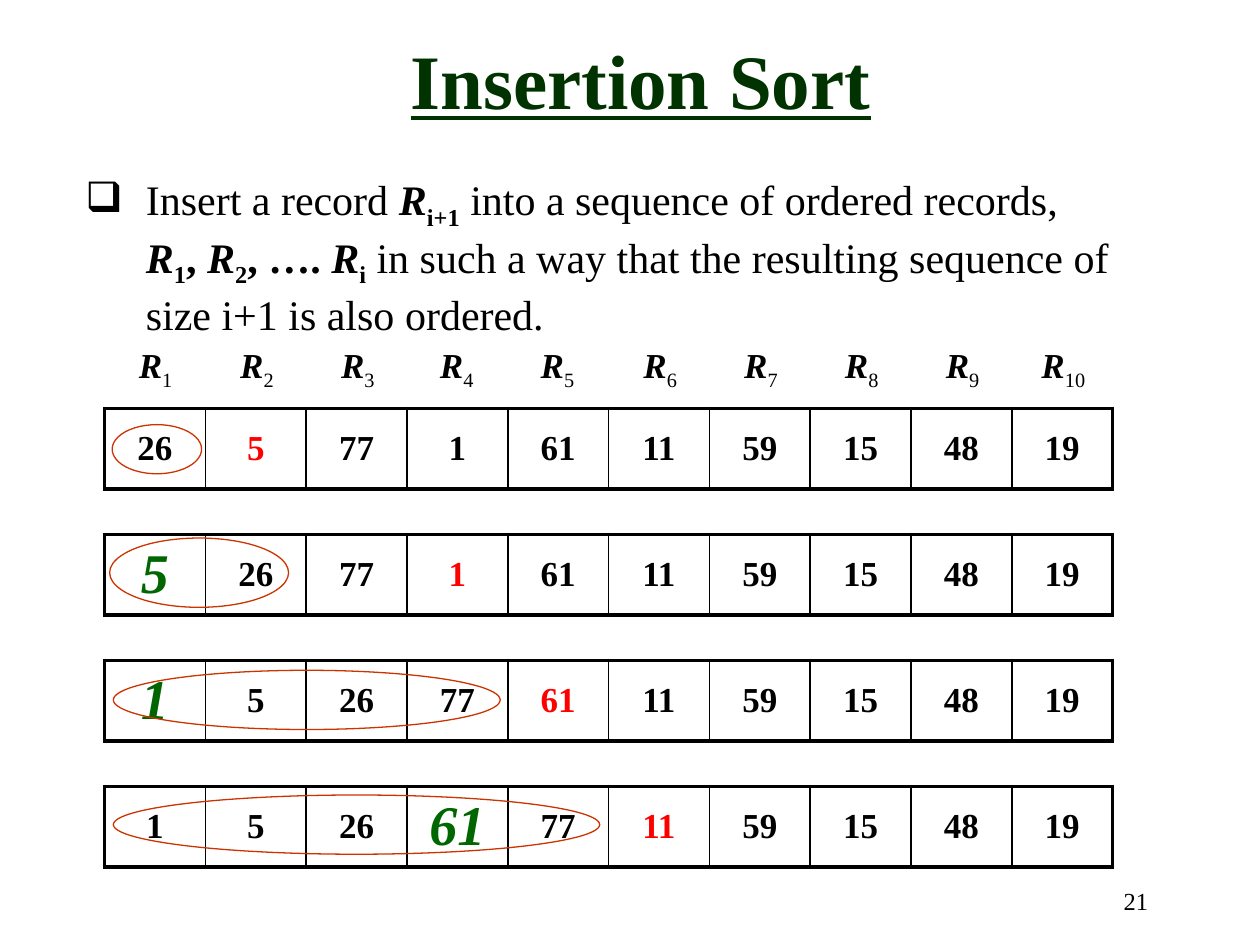
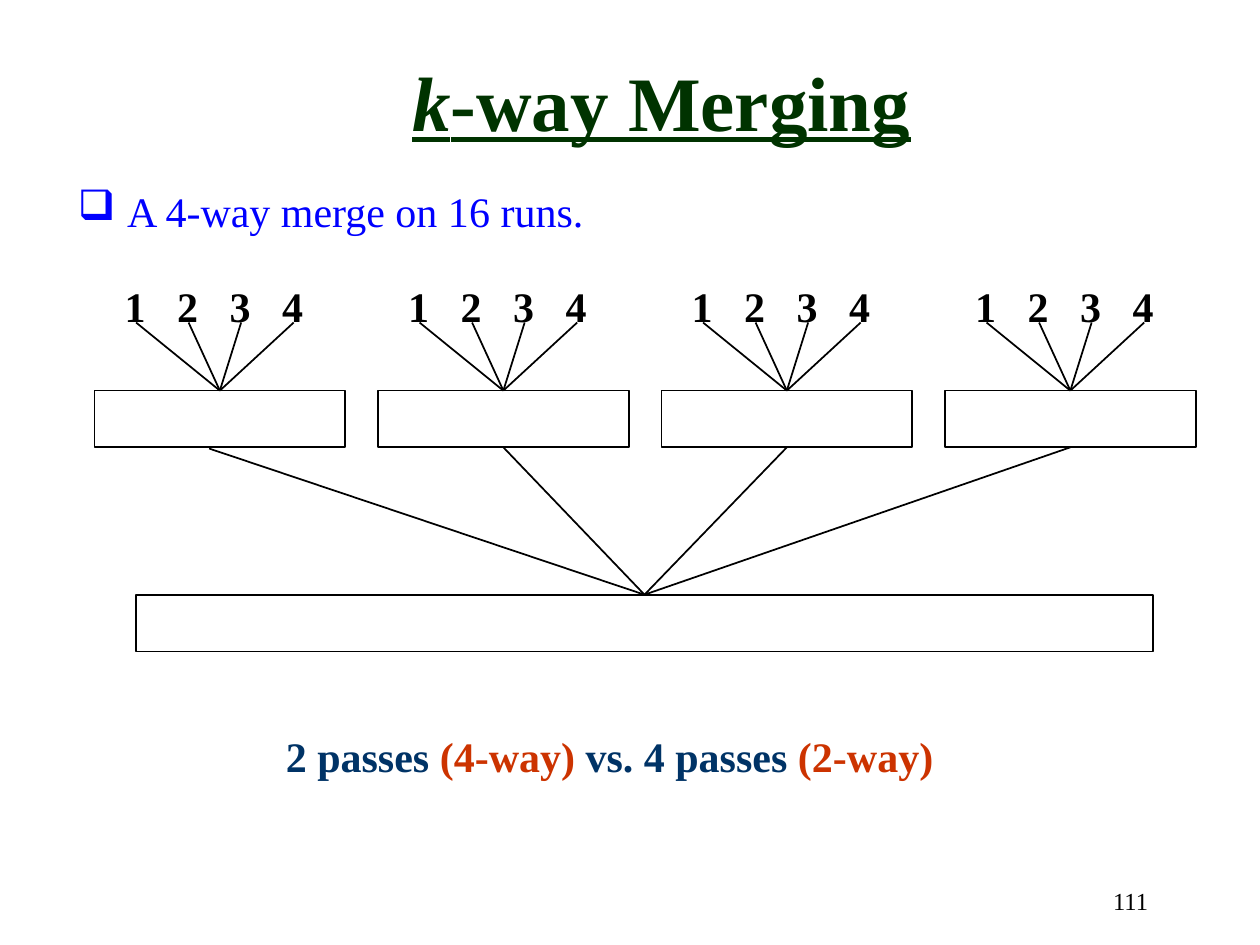
from lxml.etree import SubElement
from pptx import Presentation
from pptx.dml.color import RGBColor
from pptx.enum.shapes import MSO_CONNECTOR, MSO_SHAPE
from pptx.enum.text import MSO_ANCHOR, PP_ALIGN
from pptx.oxml.ns import qn
from pptx.util import Inches, Pt

# Shared style
FONT = "Times New Roman"
BLACK, RED, BLUE, NAVY = "000000", "FF0000", "0000FF", "003366"
TITLE_GREEN, INSERTED_GREEN, RUST = "003300", "006600", "CC3300"
NO_STYLE = "{2D5ABB26-0587-4C30-8999-92F81FD0307C}"
THICK, THIN = 2.25, 1
RECORD = dict(bold=True, italic=True)
INDEX = dict(bold=True, subscript=True)

# Insertion sort steps: values, column just inserted, column to insert next
STEPS = [
    ([26, 5, 77, 1, 61, 11, 59, 15, 48, 19], None, 1),
    ([5, 26, 77, 1, 61, 11, 59, 15, 48, 19], 0, 3),
    ([1, 5, 26, 77, 61, 11, 59, 15, 48, 19], 0, 4),
    ([1, 5, 26, 61, 77, 11, 59, 15, 48, 19], 3, 5),
]
SORTED_OVALS = [
    (0.89, 3.37, 0.71, 0.39),
    (0.87, 4.27, 1.42, 0.55),
    (0.9, 5.32, 3.07, 0.47),
    (0.9, 6.31, 3.86, 0.47),
]


def color(code):
    return RGBColor.from_string(code)


# Text
def write(para, text, size=24, ink=BLACK, bold=False, italic=False,
          underline=False, subscript=False):
    span = para.add_run()
    span.text = text
    font = span.font
    font.name, font.size = FONT, Pt(size)
    font.bold, font.italic, font.underline = bold, italic, underline
    font.color.rgb = color(ink)
    if subscript:
        span._r.get_or_add_rPr().set("baseline", "-25000")


def add_text(page, left, top, width, height, align=PP_ALIGN.LEFT,
             anchor=MSO_ANCHOR.TOP):
    box = page.shapes.add_textbox(Inches(left), Inches(top),
                                  Inches(width), Inches(height))
    frame = box.text_frame
    frame.word_wrap = True
    frame.vertical_anchor = anchor
    para = frame.paragraphs[0]
    para.alignment = align
    return para


def add_bullet(para, indent):
    properties = para._p.get_or_add_pPr()
    properties.set("marL", str(Inches(indent)))
    properties.set("indent", str(-Inches(indent)))
    SubElement(properties, qn("a:buChar")).set("char", "❑")


def add_tabs(para, count, pitch):
    stops = SubElement(para._p.get_or_add_pPr(), qn("a:tabLst"))
    for number in range(1, count + 1):
        stop = SubElement(stops, qn("a:tab"))
        stop.set("pos", str(Inches(number * pitch)))
        stop.set("algn", "l")


def add_title(page, left, top, width, spans):
    para = add_text(page, left, top, width, 1.25, PP_ALIGN.CENTER,
                    MSO_ANCHOR.MIDDLE)
    for text, italic in spans:
        write(para, text, size=44, ink=TITLE_GREEN, bold=True, italic=italic,
              underline=True)


def add_page_number(page, number):
    para = add_text(page, 7.13, 6.98, 2.08, 0.5, PP_ALIGN.RIGHT)
    write(para, str(number), size=14)


# Shapes and lines
def add_outline(page, kind, left, top, width, height, ink, weight):
    shape = page.shapes.add_shape(kind, Inches(left), Inches(top),
                                  Inches(width), Inches(height))
    shape.shadow.inherit = False
    shape.fill.background()
    shape.line.color.rgb = color(ink)
    shape.line.width = Pt(weight)
    return shape


def add_line(page, start, target, source=None):
    """Draw a line from a point, or a source's bottom, to a target's top."""
    line = page.shapes.add_connector(MSO_CONNECTOR.STRAIGHT,
                                     Inches(start[0]), Inches(start[1]),
                                     target.left, target.top)
    if source is not None:
        line.begin_connect(source, 2)
    line.end_connect(target, 0)
    line.line.color.rgb = color(BLACK)
    line.line.width = Pt(1)
    SubElement(line._element.spPr, qn("a:effectLst"))


# Tables
def add_row_table(page, left, top, widths, height):
    frame = page.shapes.add_table(1, len(widths), Inches(left), Inches(top),
                                  Inches(sum(widths)), Inches(height))
    table = frame.table
    table.first_row = table.horz_banding = False
    table._tbl.tblPr.find(qn("a:tableStyleId")).text = NO_STYLE
    table.rows[0].height = Inches(height)
    for column, width in zip(table.columns, widths):
        column.width = Inches(width)
    return [table.cell(0, index) for index in range(len(widths))]


def prepare_cell(cell):
    cell.fill.background()
    cell.vertical_anchor = MSO_ANCHOR.MIDDLE
    para = cell.text_frame.paragraphs[0]
    para.alignment = PP_ALIGN.CENTER
    return para


def set_borders(cell, left, right):
    properties = cell._tc.get_or_add_tcPr()
    for side, weight in zip("LRTB", (left, right, THICK, THICK)):
        line = SubElement(properties, qn(f"a:ln{side}"))
        line.set("w", str(Pt(weight)))
        fill = SubElement(line, qn("a:solidFill"))
        SubElement(fill, qn("a:srgbClr")).set("val", BLACK)


def add_record_names(page):
    widths = [0.81, 0.8, 0.8, 0.77, 0.83] + [0.8] * 5
    cells = add_row_table(page, 0.83, 2.57, widths, 0.72)
    for number, cell in enumerate(cells, 1):
        para = prepare_cell(cell)
        write(para, "R", size=20, **RECORD)
        write(para, str(number), size=20, subscript=True)


def add_step(page, top, values, inserted, upcoming):
    cells = add_row_table(page, 0.83, top, [0.8] * len(values), 0.64)
    last = len(values) - 1
    for index, (cell, value) in enumerate(zip(cells, values)):
        set_borders(cell, THICK if index == 0 else THIN,
                    THICK if index == last else THIN)
        para = prepare_cell(cell)
        if index == inserted:
            write(para, str(value), size=32, ink=INSERTED_GREEN, **RECORD)
        else:
            ink = RED if index == upcoming else BLACK
            write(para, str(value), size=20, ink=ink, bold=True)


# Slides
def build_insertion_sort(page):
    add_page_number(page, 21)
    add_title(page, 0.75, 0, 8.67, [("Insertion Sort", False)])

    para = add_text(page, 0.58, 1.33, 8.83, 1.31)
    add_bullet(para, 0.48)
    write(para, "Insert a record ")
    write(para, "R", **RECORD)
    write(para, "i+1", **INDEX)
    write(para, " into a sequence of ordered records, ")
    para.add_line_break()
    for index, separator in (("1", ", "), ("2", ", …. "), ("i", "")):
        write(para, "R", **RECORD)
        write(para, index, **INDEX)
        if separator:
            write(para, separator, bold=True)
    write(para, " in such a way that the resulting sequence of size i+1 "
                "is also ordered.")

    for number, step in enumerate(STEPS):
        add_step(page, 3.24 + number, *step)
    add_record_names(page)
    for place in SORTED_OVALS:
        add_outline(page, MSO_SHAPE.OVAL, *place, RUST, 0.75)


def add_run_group(page, left):
    """Draw four numbered runs merging into one block."""
    block = add_outline(page, MSO_SHAPE.RECTANGLE, left, 3.1, 1.99, 0.45,
                        BLACK, 1)
    pitch = 0.417
    para = add_text(page, left + 0.14, 2.18, 1.8, 0.5)
    add_tabs(para, 3, pitch)
    write(para, "1\t2\t3\t4", bold=True)
    for number in range(4):
        add_line(page, (left + 0.33 + number * pitch, 2.56), block)
    return block


def build_merging(page):
    add_page_number(page, 111)
    add_title(page, 1.5, 0.17, 7.5, [("k", True), ("-way Merging", False)])

    blocks = [add_run_group(page, 0.75 + 2.25 * number) for number in range(4)]
    merged = add_outline(page, MSO_SHAPE.RECTANGLE, 1.08, 4.72, 8.07, 0.45,
                         BLACK, 1)
    add_line(page, (1.66, 3.56), merged)
    for block in blocks[1:]:
        add_line(page, (0, 0), merged, source=block)

    para = add_text(page, 2.17, 5.75, 5.6, 0.51)
    for text, ink in (("2 passes ", NAVY), ("(4-way)", RUST),
                      (" vs. 4 passes ", NAVY), ("(2-way)", RUST)):
        write(para, text, ink=ink, bold=True)

    para = add_text(page, 0.52, 1.42, 4.5, 0.51)
    add_bullet(para, 0.39)
    write(para, "A 4-way merge on 16 runs.", ink=BLUE)


def main():
    deck = Presentation()
    deck.slide_width, deck.slide_height = Inches(10), Inches(7.5)
    blank = deck.slide_layouts[6]
    for build in (build_insertion_sort, build_merging):
        build(deck.slides.add_slide(blank))
    deck.save("out.pptx")


if __name__ == "__main__":
    main()
